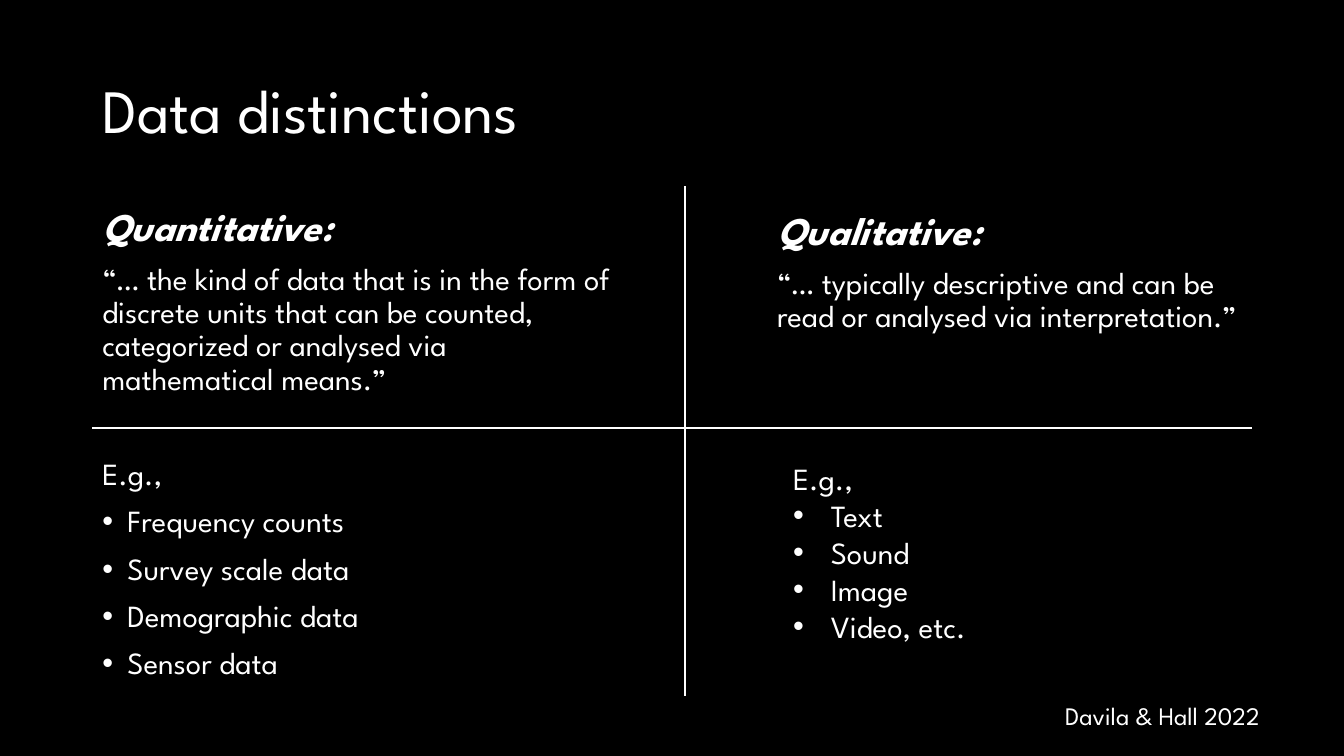
"""Build the slide that sets quantitative beside qualitative data."""
from dataclasses import dataclass
from lxml.etree import SubElement
from pptx import Presentation
from pptx.dml.color import RGBColor
from pptx.enum.shapes import MSO_CONNECTOR
from pptx.enum.text import MSO_ANCHOR, MSO_AUTO_SIZE, PP_ALIGN
from pptx.oxml.ns import qn
from pptx.util import Pt

TITLE = "Data distinctions"
SOURCE = "Davila & Hall 2022"
QUANT = [
    ("head", "Quantitative:"),
    ("body", "“… the kind of data that is in the form of discrete units that can be "
             "counted, categorized or analysed via mathematical means.”"),
]
QUAL = [
    ("head", "Qualitative:"),
    ("body", "“… typically descriptive and can be read or analysed via interpretation.”"),
]
COUNTS = ["Frequency counts", "Survey scale data", "Demographic data", "Sensor data"]
MEDIA = ["Text", "Sound", "Image", "Video, etc."]


@dataclass
class Theme:
    """Colours, font and type sizes."""
    back: RGBColor = RGBColor(0, 0, 0)
    ink: RGBColor = RGBColor(255, 255, 255)
    font: str = "League Spartan"
    title: int = 44
    head: int = 28
    body: int = 22
    note: int = 18
    rule: float = 1.5


LOOK = Theme()
LEFT, RIGHT, MID, CROSS = 66, 894, 489, 306


def add_run(para, text, size, strong=False):
    """Add one styled run to a paragraph."""
    run = para.add_run()
    run.text = text
    font = run.font
    font.name, font.size = LOOK.font, Pt(size)
    font.bold = font.italic = strong
    font.color.rgb = LOOK.ink


def add_bullet(para, indent):
    """Give a paragraph a round bullet with a hanging indent."""
    props = para._p.get_or_add_pPr()
    props.set("marL", str(Pt(indent)))
    props.set("indent", str(-Pt(indent)))
    SubElement(props, qn("a:buFont"), typeface="Arial")
    SubElement(props, qn("a:buChar"), char="•")


def add_text(slide, area, lines, line=0.9, gap=10, indent=18):
    """Add a text box of (kind, text) lines."""
    frame = slide.shapes.add_textbox(*map(Pt, area)).text_frame
    frame.word_wrap = True
    for i, (kind, text) in enumerate(lines):
        para = frame.add_paragraph() if i else frame.paragraphs[0]
        if kind == "item":
            add_bullet(para, indent)
        para.line_spacing = line
        para.space_before = Pt(gap if i else 0)
        size = LOOK.body if kind == "item" else getattr(LOOK, kind)
        add_run(para, text, size, kind == "head")


def add_rule(slide, *ends):
    """Draw a straight dividing line."""
    rule = slide.shapes.add_connector(MSO_CONNECTOR.STRAIGHT, *map(Pt, ends))
    rule.line.color.rgb = LOOK.ink
    rule.line.width = Pt(LOOK.rule)
    SubElement(rule._element.spPr, qn("a:effectLst"))


def cases(names):
    """Head a list of examples with its lead-in."""
    return [("body", "E.g.,")] + [("item", name) for name in names]


def add_title(slide):
    """Place and style the title."""
    title = slide.shapes.title
    title.left, title.top, title.width, title.height = map(
        Pt, (LEFT, 28.8, RIGHT - LEFT, 104.4))
    frame = title.text_frame
    frame.auto_size = MSO_AUTO_SIZE.NONE
    frame.vertical_anchor = MSO_ANCHOR.MIDDLE
    para = frame.paragraphs[0]
    para.alignment = PP_ALIGN.LEFT
    para.line_spacing = 0.9
    add_run(para, TITLE, LOOK.title)


def main():
    """Compose and save the slide."""
    deck = Presentation()
    deck.slide_width, deck.slide_height = Pt(960), Pt(540)
    slide = deck.slides.add_slide(deck.slide_layouts[5])
    fill = slide.background.fill
    fill.solid()
    fill.fore_color.rgb = LOOK.back
    add_title(slide)
    add_text(slide, (548, 147.6, 345.6, 118.8), QUAL)
    add_text(slide, (753.8, 496.8, 189.4, 28.8), [("note", SOURCE)], 1, 0)
    add_text(slide, (LEFT, 144.7, 379.5, 150), QUANT)
    add_text(slide, (LEFT, 324.4, 379.5, 180), cases(COUNTS))
    add_rule(slide, MID, 133.2, MID, 496.8)
    add_rule(slide, RIGHT, CROSS, LEFT, CROSS)
    add_text(slide, (559.4, 324.7, 380, 140.4), cases(MEDIA), 1, 0, 27)
    deck.save("out.pptx")


if __name__ == "__main__":
    main()
